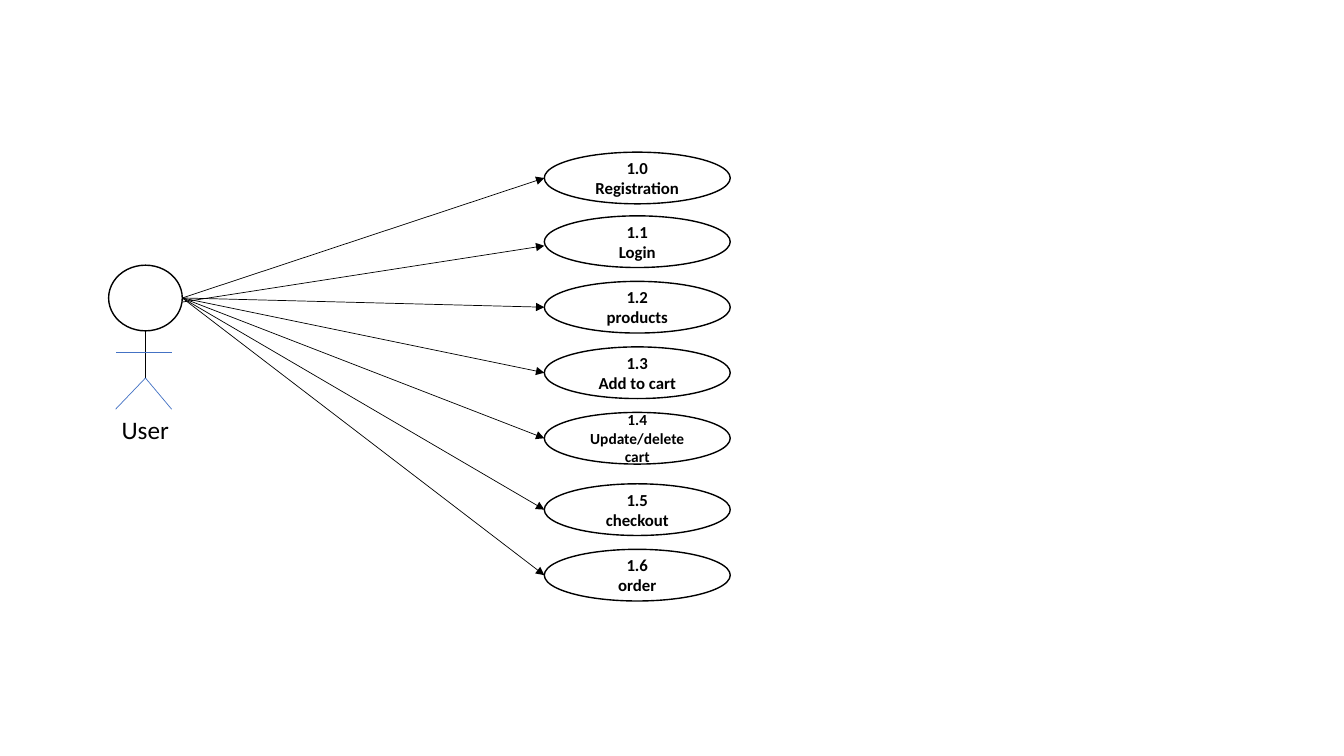
from dataclasses import dataclass

from pptx import Presentation
from pptx.dml.color import RGBColor
from pptx.enum import shapes, text
from pptx.oxml import ns, xmlchemy
from pptx.util import Pt


@dataclass(frozen=True)
class Theme:
    font: str = "Calibri"
    black: RGBColor = RGBColor(0, 0, 0)
    white: RGBColor = RGBColor(255, 255, 255)
    blue: RGBColor = RGBColor(0x44, 0x72, 0xC4)
    case_size: float = 12
    small_size: float = 11
    actor_size: float = 18
    outline: float = 1
    thin: float = 0.5


THEME = Theme()

# Use cases: number, name, top, type size
CASE_LEFT, CASE_WIDTH, CASE_HEIGHT = 388.8, 132.8, 36.9
USE_CASES = [
    ("1.0", "Registration", 108.7, THEME.case_size),
    ("1.1", "Login", 154.2, THEME.case_size),
    ("1.2", "products", 201, THEME.case_size),
    ("1.3", "Add to cart", 247.8, THEME.case_size),
    ("1.4", "Update/delete cart", 294.6, THEME.small_size),
    ("1.5", "checkout", 345.6, THEME.case_size),
    ("1.6", "order", 392.4, THEME.case_size),
]

# Actor: head box and the points of the body
HEAD = (77.6, 189.4, 52.6, 46.9)
HEAD_RIGHT, HEAD_MIDDLE = HEAD[0] + HEAD[2], HEAD[1] + HEAD[3] / 2
NECK, HIP = (103.9, 236.3), (103.9, 270)
ARM_LEFT, ARM_RIGHT, ARM_Y, FOOT_Y = 82.6, 122.6, 252, 292.3
LOGIN_DROP = 2.9  # the login arrow sits a little below the middles


def write_lines(frame, lines, **font_format):
    """Fill a text frame with centred paragraphs."""
    frame.word_wrap = True
    for index, line in enumerate(lines):
        paragraph = frame.paragraphs[0] if index == 0 else frame.add_paragraph()
        paragraph.alignment = text.PP_ALIGN.CENTER
        run = paragraph.add_run()
        run.text = line
        run.font.color.rgb = THEME.black
        for name, value in {"name": THEME.font, **font_format}.items():
            setattr(run.font, name, value)


def add_ellipse(slide, box):
    shape = slide.shapes.add_shape(shapes.MSO_SHAPE.OVAL, *map(Pt, box))
    shape.shadow.inherit = False
    shape.fill.solid()
    shape.fill.fore_color.rgb = THEME.white
    shape.line.color.rgb = THEME.black
    shape.line.width = Pt(THEME.outline)
    return shape


def add_line(slide, start, end, color=THEME.black, arrow=False):
    line = slide.shapes.add_connector(
        shapes.MSO_CONNECTOR.STRAIGHT, *map(Pt, (*start, *end)))
    line.line.color.rgb = color
    line.line.width = Pt(THEME.thin)
    if arrow:
        tail = xmlchemy.OxmlElement("a:tailEnd")
        tail.set("type", "triangle")
        line.line._get_or_add_ln().append(tail)
    properties = line._element.find(ns.qn("p:spPr"))
    properties.append(xmlchemy.OxmlElement("a:effectLst"))


def add_actor(slide, name):
    add_ellipse(slide, HEAD)
    add_line(slide, NECK, HIP)
    for foot_x in (ARM_LEFT, ARM_RIGHT):
        add_line(slide, HIP, (foot_x, FOOT_Y), THEME.blue)
    add_line(slide, (ARM_RIGHT, ARM_Y), (ARM_LEFT, ARM_Y), THEME.blue)
    label = slide.shapes.add_textbox(*map(Pt, (45.4, 292.3, 116.6, 29)))
    write_lines(label.text_frame, [name], size=Pt(THEME.actor_size))
    label.text_frame.auto_size = text.MSO_AUTO_SIZE.SHAPE_TO_FIT_TEXT


def add_use_case(slide, number, name, top, size):
    shape = add_ellipse(slide, (CASE_LEFT, top, CASE_WIDTH, CASE_HEIGHT))
    shape.text_frame.vertical_anchor = text.MSO_ANCHOR.MIDDLE
    write_lines(shape.text_frame, [number, name], size=Pt(size), bold=True)


def main():
    presentation = Presentation()
    presentation.slide_width, presentation.slide_height = Pt(960), Pt(540)
    slide = presentation.slides.add_slide(presentation.slide_layouts[6])

    # Actor and use cases
    add_actor(slide, "User")
    for use_case in USE_CASES:
        add_use_case(slide, *use_case)

    # Arrows from the actor to each use case
    for _, name, top, _ in USE_CASES:
        drop = LOGIN_DROP if name == "Login" else 0
        add_line(slide, (HEAD_RIGHT, HEAD_MIDDLE + drop),
                 (CASE_LEFT, top + CASE_HEIGHT / 2 + drop), arrow=True)

    presentation.save("out.pptx")


if __name__ == "__main__":
    main()
